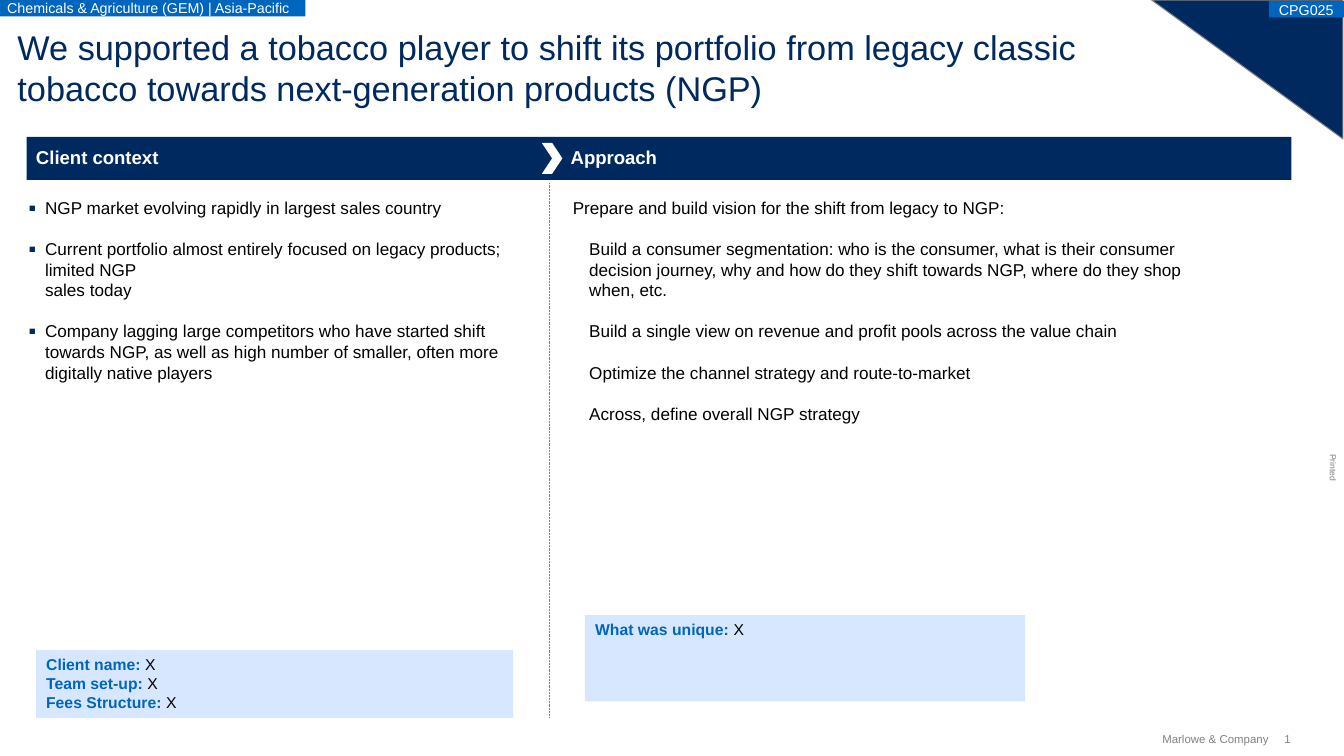
from lxml import etree
from pptx import Presentation, util as u
from pptx.dml.color import RGBColor
from pptx.enum import dml, shapes, text
from pptx.oxml.ns import qn

W, H = u.Inches(13.07), u.Inches(7.35)
COL, ROW = W / 100, H / 100
NAVY, BLUE, PALE, GREY = "002960", "0065BD", "D6E7FF", "808080"
WHITE, BLACK = "FFFFFF", "000000"
SHAPE, ALIGN, ANCHOR = shapes.MSO_SHAPE, text.PP_ALIGN, text.MSO_ANCHOR


def paint(fmt, color):
    """Set a solid colour on a fill, or a plain colour on a font."""
    if hasattr(fmt, "solid"):
        fmt.solid()
        fmt.fore_color.rgb = RGBColor.from_string(color)
    else:
        fmt.color.rgb = RGBColor.from_string(color)


def place(box):
    """Turn grid columns and rows into slide lengths."""
    x, y, w, h = box
    return [round(n) for n in (x * COL, y * ROW, w * COL, h * ROW)]


def within(box, x, y, w, h):
    """Offset a box from the corner of its region."""
    return box[0] + x, box[1] + y, w, h


def style(para, size, color=None, bold=None):
    """Set the font of a whole paragraph."""
    font = para.font
    font.name, font.size, font.bold = "Arial", u.Pt(size), bold
    if color:
        paint(font, color)


def frame(item, anchor=ANCHOR.TOP, pad=(0, 0), wrap=True):
    """Set the insets, anchor and wrapping of a text frame."""
    body = item.text_frame
    body.auto_size = text.MSO_AUTO_SIZE.NONE
    body.word_wrap = wrap
    body.vertical_anchor = anchor
    body.margin_left = body.margin_right = u.Inches(pad[0])
    body.margin_top = body.margin_bottom = u.Inches(pad[1])
    return body


def block(slide, kind, box, color):
    """Draw a filled shape without outline or shadow."""
    item = slide.shapes.add_shape(kind, *place(box))
    item.shadow.inherit = False
    item.line.fill.background()
    paint(item.fill, color)
    return item


def label(slide, box, words, size, color, bold=None, anchor=ANCHOR.MIDDLE,
          align=ALIGN.LEFT):
    """Write one line of text."""
    item = slide.shapes.add_textbox(*place(box))
    para = frame(item, anchor, wrap=False).paragraphs[0]
    para.text, para.alignment = words, align
    style(para, size, color, bold)
    return item


def tag(slide, box, words, pad):
    """Draw a small blue tag at the top edge."""
    item = block(slide, SHAPE.RECTANGLE, box, BLUE)
    para = frame(item, ANCHOR.MIDDLE, (pad, 0), False).paragraphs[0]
    para.text, para.alignment = words, ALIGN.LEFT
    style(para, 10, WHITE)


def bullet(para):
    """Give a paragraph a navy square bullet."""
    props = para._p.get_or_add_pPr()
    props.set("indent", str(-u.Inches(0.16)))
    tint = etree.SubElement(props, qn("a:buClr"))
    etree.SubElement(tint, qn("a:srgbClr"), val=NAVY)
    etree.SubElement(props, qn("a:buSzPct"), val="125000")
    etree.SubElement(props, qn("a:buFont"), typeface="Arial")
    etree.SubElement(props, qn("a:buChar"), char="▪")


def points(slide, box, items, lead=None):
    """List bulleted items, or indented items under a lead sentence."""
    item = slide.shapes.add_textbox(*place(box))
    body = frame(item)
    lines = [lead] + items if lead else items
    for i, words in enumerate(lines):
        para = body.paragraphs[0] if i == 0 else body.add_paragraph()
        para.text = words
        if words != lead:
            para._p.get_or_add_pPr().set("marL", str(u.Inches(0.16)))
        if not lead:
            bullet(para)
        if i:
            para.space_before = u.Pt(14.4)
        style(para, 12, BLACK)


def note(slide, box, names):
    """Draw a pale box of named fields."""
    item = block(slide, SHAPE.RECTANGLE, box, PALE)
    body = frame(item, pad=(0.1, 0.05))
    for i, name in enumerate(names):
        para = body.paragraphs[0] if i == 0 else body.add_paragraph()
        para.alignment = ALIGN.LEFT
        style(para, 11)
        for words, color, bold in ((name + ": ", BLUE, True), ("X", BLACK, False)):
            run = para.add_run()
            run.text, run.font.bold = words, bold
            paint(run.font, color)


def context(slide, box):
    """Fill the left panel."""
    label(slide, within(box, 0.69, 1.22, 22.26, 3), "Client context", 13, WHITE,
          True, ANCHOR.BOTTOM)
    points(slide, within(box, 0.15, 8.02, 35.96, 24.76), [
        "NGP market evolving rapidly in largest sales country",
        "Current portfolio almost entirely focused on legacy products; "
        "limited NGP\vsales today",
        "Company lagging large competitors who have started shift towards NGP, "
        "as well as high number of smaller, often more digitally native players"])
    note(slide, within(box, 0.69, 67.89, 35.5, 8.98),
         ["Client name", "Team set-up", "Fees Structure"])


def approach(slide, box):
    """Fill the right panel."""
    label(slide, within(box, 1.6, 1.22, 26.7, 3), "Approach", 13, WHITE,
          True, ANCHOR.BOTTOM)
    points(slide, within(box, 1.76, 8.02, 46.75, 30.2), [
        "Build a consumer segmentation: who is the consumer, what is their "
        "consumer decision journey, why and how do they shift towards NGP, "
        "where do they shop when, etc.",
        "Build a single view on revenue and profit pools across the value chain",
        "Optimize the channel strategy and route-to-market",
        "Across, define overall NGP strategy"],
        "Prepare and build vision for the shift from legacy to NGP:")
    note(slide, within(box, 2.67, 63.26, 32.75, 11.43), ["What was unique"])


def panels(slide, box):
    """Draw the header bar, the divider and both panels."""
    x, y, w, h = box
    split = 38.87
    block(slide, SHAPE.RECTANGLE, (x, y, w, 5.71), NAVY)
    block(slide, SHAPE.CHEVRON, within(box, split - 0.54, 0.81, 1.53, 4.08), WHITE)
    left, top, _, drop = place(within(box, split, 6.12, 0, h - 6.12))
    rule = slide.shapes.add_connector(shapes.MSO_CONNECTOR.STRAIGHT,
                                      left, top, left, top + drop)
    paint(rule.line.fill, GREY)
    rule.line.width = u.Pt(0.5)
    rule.line.dash_style = dml.MSO_LINE.ROUND_DOT
    etree.SubElement(rule._element.spPr, qn("a:effectLst"))
    context(slide, (x, y, split, h))
    approach(slide, (x + split, y, w - split, h))


def corner(slide, box):
    """Draw the navy triangle in the top right corner."""
    item = block(slide, SHAPE.ISOSCELES_TRIANGLE, box, NAVY)
    item.adjustments[0] = 0
    item.rotation = 180
    paint(item.line.fill, GREY)
    item.line.width = u.Pt(0.75)


def heading(slide, box):
    """Place and format the title."""
    item = slide.shapes.title
    item.left, item.top, item.width, item.height = place(box)
    para = frame(item).paragraphs[0]
    para.text = ("We supported a tobacco player to shift its portfolio from legacy "
                 "classic\vtobacco towards next-generation products (NGP)")
    para.alignment = ALIGN.LEFT
    style(para, 24, NAVY)


def footer(slide, box):
    """Write the firm name, page number and side mark."""
    label(slide, within(box, 0, 0, 8.49, 1.77), "Marlowe & Company", 8, GREY,
          align=ALIGN.RIGHT)
    label(slide, within(box, 9.64, 0, 1.07, 1.77), "1", 8, GREY)
    side = label(slide, within(box, 12.24, -35.65, 2.07, 1.36), "Printed", 6, GREY,
                 anchor=ANCHOR.TOP)
    side.rotation = 90


def main():
    """Build and save the slide."""
    deck = Presentation()
    deck.slide_width, deck.slide_height = W, H
    slide = deck.slides.add_slide(deck.slide_layouts[5])
    corner(slide, (85.69, 0, 14.23, 18.37))
    heading(slide, (1.3, 3.4, 96.17, 11.02))
    tag(slide, (0, 0, 22.72, 2.18), "Chemicals & Agriculture (GEM) | Asia-Pacific", 0.07)
    tag(slide, (94.41, 0.14, 5.59, 2.18), "CPG025", 0.1)
    panels(slide, (1.99, 18.1, 94.11, 76.87))
    footer(slide, (85.92, 96.87, 14.08, 1.77))
    deck.save("out.pptx")


if __name__ == "__main__":
    main()
